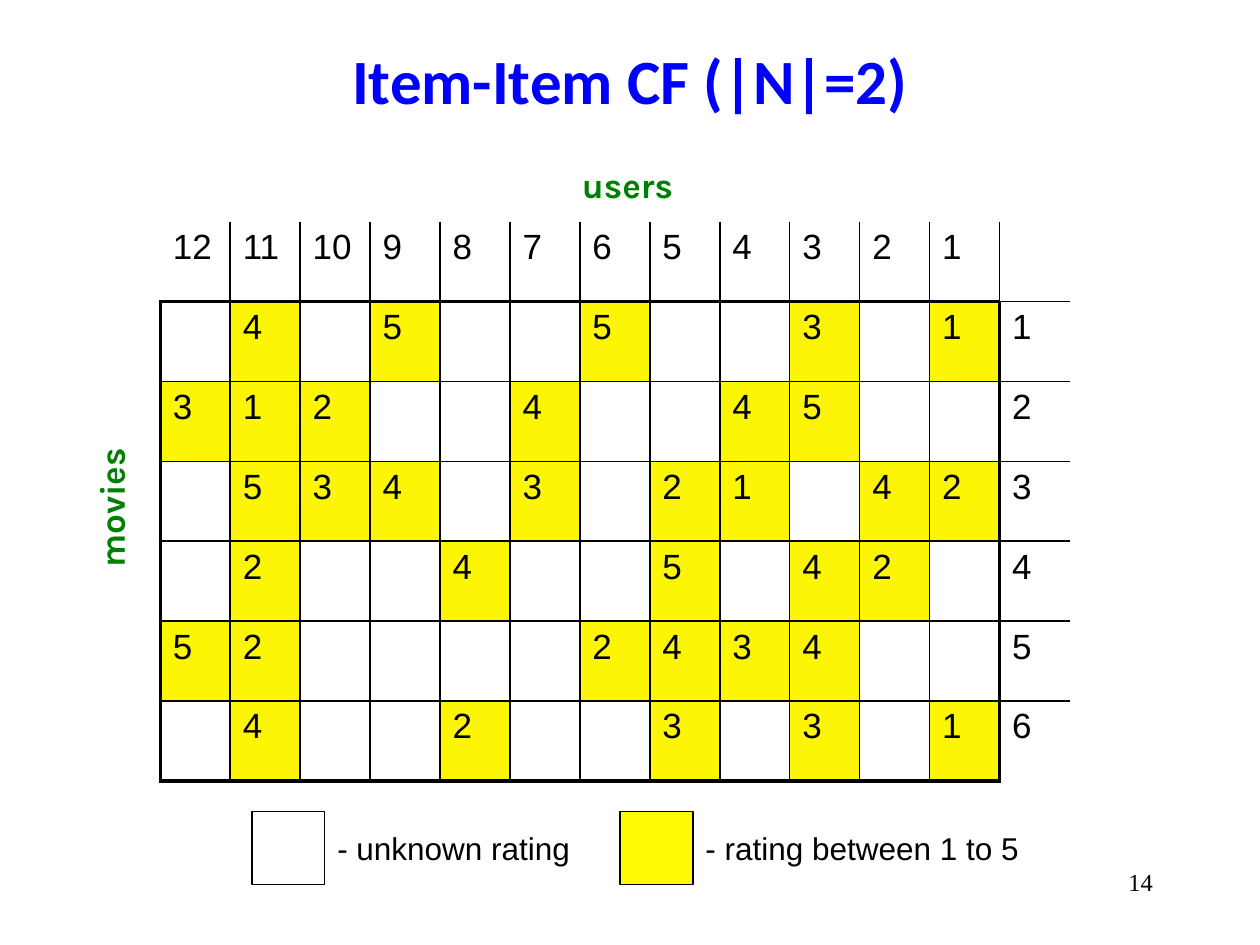
import pptx
import pptx.dml.color
import pptx.enum.shapes
import pptx.enum.text
import pptx.oxml.ns
import pptx.util
from lxml import etree

Cm = pptx.util.Cm
RGBColor = pptx.dml.color.RGBColor
ALIGN = pptx.enum.text.PP_ALIGN
ANCHOR = pptx.enum.text.MSO_ANCHOR
qn = pptx.oxml.ns.qn

BLACK = RGBColor(0x00, 0x00, 0x00)
WHITE = RGBColor(0xFF, 0xFF, 0xFF)
BLUE = RGBColor(0x00, 0x00, 0xFF)
GREEN = RGBColor(0x00, 0x80, 0x00)
RATED = RGBColor(0xFC, 0xF6, 0x04)
LEGEND_YELLOW = RGBColor(0xFF, 0xF9, 0x05)

THIN, THICK = 1, 2.25
USERS = range(12, 0, -1)
# One string per movie, one character per user; "." is an unknown rating.
RATINGS = [
    ".4.5..5..3.1",
    "312..4..45..",
    ".534.3.21.42",
    ".2..4..5.42.",
    "52....2434..",
    ".4..2..3.3.1",
]


def write(tf, text, size=20, font="Arial", color=BLACK, bold=False,
          align=ALIGN.LEFT):
    p = tf.paragraphs[0]
    p.alignment = align
    r = p.add_run()
    r.text = text
    r.font.size = pptx.util.Pt(size)
    r.font.name = font
    r.font.bold = bold
    r.font.color.rgb = color


def row_line(i, col):
    """Width of the horizontal line above row i, or None for no line."""
    if i == 0:
        return None
    if col == len(USERS):
        return THIN if i <= len(RATINGS) else None
    return THICK if i in (1, len(RATINGS) + 1) else THIN


def col_line(j, row):
    """Width of the vertical line left of column j, or None for no line."""
    if j > len(USERS) or (j == 0 and row == 0):
        return None
    return THICK if row > 0 and j in (0, len(USERS)) else THIN


def set_borders(cell, widths):
    """Draw left, right, top and bottom borders, given in that order."""
    tcPr = cell._tc.get_or_add_tcPr()
    for i, (tag, width) in enumerate(zip(("lnL", "lnR", "lnT", "lnB"), widths)):
        ln = etree.Element(qn(f"a:{tag}"))
        if width is None:
            etree.SubElement(ln, qn("a:noFill"))
        else:
            ln.set("w", str(pptx.util.Pt(width)))
            fill = etree.SubElement(ln, qn("a:solidFill"))
            etree.SubElement(fill, qn("a:srgbClr"), val=str(BLACK))
        tcPr.insert(i, ln)


class Slide:
    def __init__(self, prs):
        self.s = prs.slides.add_slide(prs.slide_layouts[6])

    def text(self, text, x, y, w, h, rotation=0, anchor=ANCHOR.TOP, **style):
        sp = self.s.shapes.add_textbox(Cm(x), Cm(y), Cm(w), Cm(h))
        sp.rotation = rotation
        tf = sp.text_frame
        tf.word_wrap = True
        tf.vertical_anchor = anchor
        write(tf, text, **style)

    def square(self, x, y, side, color):
        sp = self.s.shapes.add_shape(
            pptx.enum.shapes.MSO_SHAPE.RECTANGLE, Cm(x), Cm(y), Cm(side), Cm(side))
        sp.shadow.inherit = False
        sp.fill.solid()
        sp.fill.fore_color.rgb = color
        sp.line.color.rgb = BLACK
        sp.line.width = pptx.util.Pt(0.75)

    def rating_table(self, x, y, col_width, row_height):
        grid = [[str(user) for user in USERS] + [""]]
        for movie, ratings in enumerate(RATINGS, 1):
            grid.append([*ratings.replace(".", " "), str(movie)])
        rows, cols = len(grid), len(grid[0])
        table = self.s.shapes.add_table(
            rows, cols, Cm(x), Cm(y),
            Cm(col_width * cols), Cm(row_height * rows)).table
        table.first_row = table.horz_banding = False
        for column in table.columns:
            column.width = Cm(col_width)
        for i, values in enumerate(grid):
            table.rows[i].height = Cm(row_height)
            for j, value in enumerate(values):
                cell = table.cell(i, j)
                value = value.strip()
                if value:
                    write(cell.text_frame, value)
                if value and i > 0 and j < len(USERS):
                    cell.fill.solid()
                    cell.fill.fore_color.rgb = RATED
                else:
                    cell.fill.background()
                set_borders(cell, (col_line(j, i), col_line(j + 1, i),
                                   row_line(i, j), row_line(i + 1, j)))


def main():
    prs = pptx.Presentation()
    prs.slide_width, prs.slide_height = Cm(25.4), Cm(19.05)
    s = Slide(prs)

    s.text("Item-Item CF (|N|=2)", 1.27, 0, 22.86, 3.18, anchor=ANCHOR.MIDDLE,
           size=36, font="Calibri", color=BLUE, bold=True, align=ALIGN.CENTER)
    s.rating_table(3.23, 4.47, 1.41, 1.61)

    axis = dict(font="Karla", color=GREEN, bold=True)
    s.text("users", 11.48, 3.18, 3.38, 1.12, **axis)
    s.text("movies", 0.3, 9.19, 3.89, 1.12, rotation=270, **axis)

    side = 1.47
    for x, color, label, width in (
            (5.08, WHITE, "- unknown rating", 5.51),
            (12.5, LEGEND_YELLOW, "- rating between 1 to 5", 7.42)):
        s.square(x, 16.36, side, color)
        s.text(label, x + side, 16.59, width, 1.02, size=18)

    s.text("14", 18.21, 17.35, 5.28, 1.27, size=14, font="Times New Roman",
           align=ALIGN.RIGHT)
    prs.save("out.pptx")


if __name__ == "__main__":
    main()
